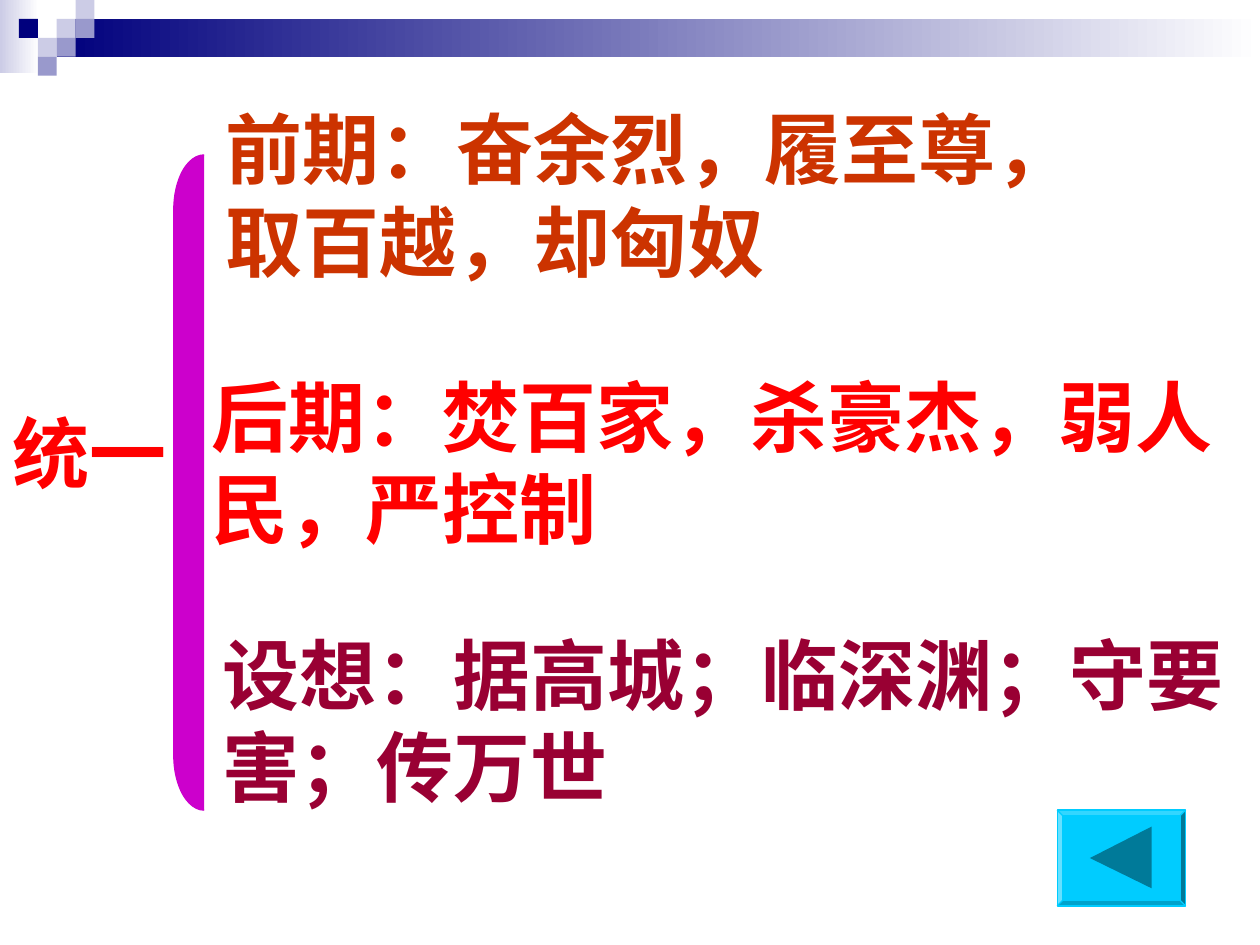
"""Build a slide that sorts one theme, unity, into three bracketed parts."""
import pptx
import pptx.dml.color
import pptx.enum.shapes
import pptx.util

RGB = pptx.dml.color.RGBColor
KIND = pptx.enum.shapes.MSO_SHAPE
INCH = pptx.util.Inches

NAVY = RGB(0x00, 0x00, 0x7D)
LILAC = RGB(0xCC, 0xCC, 0xE6)
MAUVE = RGB(0x99, 0x99, 0xCC)
WHITE = RGB(0xFF, 0xFF, 0xFF)
RED = RGB(0xFF, 0x00, 0x00)
RUST = RGB(0xCC, 0x33, 0x00)
WINE = RGB(0x99, 0x00, 0x33)
PURPLE = RGB(0xCC, 0x00, 0xCC)
CYAN = RGB(0x00, 0xCC, 0xFF)
TEAL = RGB(0x00, 0x7A, 0x99)

FONT = "Times New Roman"
UNIT = 0.15

TILES = [
    (3, 1, LILAC), (4, 0, LILAC), (4, 1, MAUVE), (2, 2, LILAC),
    (1, 1, NAVY), (3, 2, MAUVE), (2, 3, MAUVE),
]
LABELS = [
    ("统一", RED, 0, 3.17, 1.83, 0.84),
    ("前期：奋余烈，履至尊，取百越，却匈奴", RUST, 1.69, 0.76, 7.09, 1.57),
    ("后期：焚百家，杀豪杰，弱人民，严控制", RED, 1.58, 2.88, 8.42, 1.57),
    ("设想：据高城；临深渊；守要害；传万世", WINE, 1.67, 4.93, 8.33, 1.57),
]


def add_shape(slide, kind, box, color, edge=None):
    """Add a flat preset shape, with an outline if an edge colour is given."""
    shape = slide.shapes.add_shape(kind, *map(INCH, box))
    shape.shadow.inherit = False
    shape.fill.solid()
    shape.fill.fore_color.rgb = color
    if edge is None:
        shape.line.fill.background()
    else:
        shape.line.color.rgb = edge
        shape.line.width = pptx.util.Pt(0.75)
    return shape


def add_fade(slide, box, color):
    """Add a bar that fades from a colour to white, left to right."""
    bar = add_shape(slide, KIND.RECTANGLE, box, color)
    bar.fill.gradient()
    bar.fill.gradient_angle = 0
    for stop, tone, place in zip(bar.fill.gradient_stops, (color, WHITE), (0, 1)):
        stop.color.rgb = tone
        stop.position = place


def add_banner(slide):
    """Add the top bars and the tiles on their grid."""
    add_fade(slide, (0, 0, 0.31, 0.58), LILAC)
    add_fade(slide, (3 * UNIT, UNIT, 10 - 3 * UNIT, 2 * UNIT), NAVY)
    for col, row, color in TILES:
        add_shape(slide, KIND.RECTANGLE, (col * UNIT, row * UNIT, UNIT, UNIT), color)


def add_label(slide, words, color, *box):
    """Add a large bold text box."""
    frame = slide.shapes.add_textbox(*map(INCH, box)).text_frame
    frame.word_wrap = True
    run = frame.paragraphs[0].add_run()
    run.text = words
    run.font.name = FONT
    run.font.size = pptx.util.Pt(44)
    run.font.bold = True
    run.font.color.rgb = color


def add_bracket(slide):
    """Add the filled bracket that joins the three parts."""
    bracket = add_shape(slide, KIND.LEFT_BRACKET, (1.38, 1.23, 0.24, 5.2), PURPLE, PURPLE)
    bracket.adjustments[0] = 1.8


def add_button(slide):
    """Add the bevelled back button with its arrow."""
    button = add_shape(slide, KIND.BEVEL, (8.39, 6.43, 1.02, 0.76), CYAN, CYAN)
    button.adjustments[0] = 0.06
    pen = slide.shapes.build_freeform(INCH(8.65), INCH(6.81))
    pen.add_line_segments([(INCH(9.14), INCH(6.56)), (INCH(9.14), INCH(7.05))])
    arrow = pen.convert_to_shape()
    arrow.shadow.inherit = False
    arrow.fill.solid()
    arrow.fill.fore_color.rgb = TEAL
    arrow.line.fill.background()


def main():
    """Build and save the slide."""
    deck = pptx.Presentation()
    deck.slide_width, deck.slide_height = INCH(10), INCH(7.5)
    slide = deck.slides.add_slide(deck.slide_layouts[6])
    add_banner(slide)
    add_bracket(slide)
    for label in LABELS:
        add_label(slide, *label)
    add_button(slide)
    deck.save("out.pptx")


if __name__ == "__main__":
    main()
